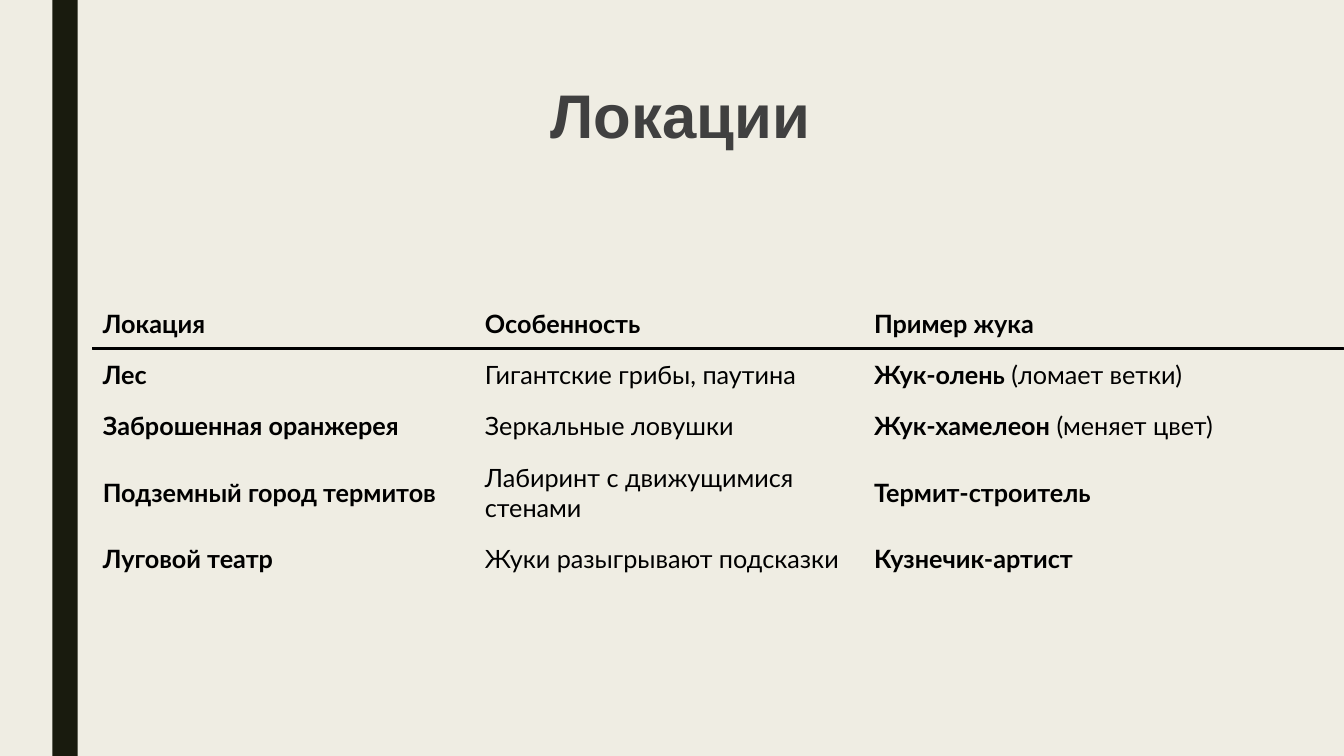
from pptx import Presentation, util as u
from pptx.dml.color import RGBColor
from pptx.enum import shapes, text
from pptx.oxml.ns import qn

COLORS = {"paper": "EFEDE3", "bar": "191B0E", "title": "404040", "ink": "000000"}
NO_STYLE = "{2D5ABB26-0587-4C30-8999-92F81FD0307C}"
SLIDE_W, SLIDE_H = 13.33, 7.5
HEADER_H = 0.506

# Each cell is a list of (text, bold) runs
LOCATIONS = [
    [[("Локация", True)], [("Особенность", True)], [("Пример жука", True)]],
    [[("Лес", True)], [("Гигантские грибы, паутина", False)],
     [("Жук-олень", True), (" (ломает ветки)", False)]],
    [[("Заброшенная оранжерея", True)], [("Зеркальные ловушки", False)],
     [("Жук-хамелеон", True), (" (меняет цвет)", False)]],
    [[("Подземный город термитов", True)], [("Лабиринт с движущимися стенами", False)],
     [("Термит-строитель", True)]],
    [[("Луговой театр", True)], [("Жуки разыгрывают подсказки", False)],
     [("Кузнечик-артист", True)]],
]


def rgb(name):
    return RGBColor.from_string(COLORS[name])


def add_run(p, content, font="Lato", size=18, color="ink", bold=False):
    r = p.add_run()
    r.text = content
    r.font.name, r.font.size, r.font.bold = font, u.Pt(size), bold
    r.font.color.rgb = rgb(color)


def add_rect(s, left, top, width, height, fill, line=None):
    sp = s.shapes.add_shape(shapes.MSO_SHAPE.RECTANGLE, u.Inches(left), u.Inches(top),
                            u.Inches(width), u.Inches(height))
    sp.shadow.inherit = False
    sp.fill.solid()
    sp.fill.fore_color.rgb = rgb(fill)
    if line:
        sp.line.color.rgb = rgb(fill)
        sp.line.width = u.Pt(line)
    else:
        sp.line.fill.background()


def add_title(s, left, top, width, height):
    title = s.shapes.title
    title.left, title.top = u.Inches(left), u.Inches(top)
    title.width, title.height = u.Inches(width), u.Inches(height)
    tf = title.text_frame
    tf.word_wrap = True
    tf.auto_size = text.MSO_AUTO_SIZE.NONE
    tf.vertical_anchor = text.MSO_ANCHOR.TOP
    tf.margin_top = u.Inches(0.1)
    p = tf.paragraphs[0]
    p.alignment = text.PP_ALIGN.CENTER
    p.line_spacing = 0.89
    add_run(p, "Локации", font="Arial", size=44, color="title", bold=True)


def add_locations(s, left, top, width, height):
    frame = s.shapes.add_table(len(LOCATIONS), 3, u.Inches(left), u.Inches(top),
                               u.Inches(width), u.Inches(height))
    table = frame.table
    table.first_row = table.horz_banding = False
    frame._element.find(".//" + qn("a:tableStyleId")).text = NO_STYLE
    for column, w in zip(table.columns, (3.79, 3.86, 3.86)):
        column.width = u.Inches(w)

    # The fourth row holds two lines and takes the remaining height
    for i, row in enumerate(table.rows):
        row.height = u.Inches(height - 4 * HEADER_H if i == 3 else HEADER_H)
        for cell, runs in zip(row.cells, LOCATIONS[i]):
            cell.fill.background()
            cell.vertical_anchor = text.MSO_ANCHOR.MIDDLE
            cell.margin_left = cell.margin_right = u.Inches(0.1)
            cell.margin_top = cell.margin_bottom = u.Inches(0.1)
            for content, bold in runs:
                add_run(cell.text_frame.paragraphs[0], content, bold=bold)

    # Rule under the header, running to the slide's edge
    add_rect(s, left, top + 0.49, SLIDE_W - left, 0.02, "ink", line=0.75)


def main():
    prs = Presentation()
    prs.slide_width, prs.slide_height = u.Inches(SLIDE_W), u.Inches(SLIDE_H)
    s = prs.slides.add_slide(prs.slide_layouts[5])
    s.background.fill.solid()
    s.background.fill.fore_color.rgb = rgb("paper")
    add_rect(s, 0.52, 0, 0.25, SLIDE_H, "bar")
    add_title(s, 1.5, 0.75, 10.5, 1.62)
    add_locations(s, 0.92, 2.96, 11.51, 2.84)
    prs.save("out.pptx")


if __name__ == "__main__":
    main()
